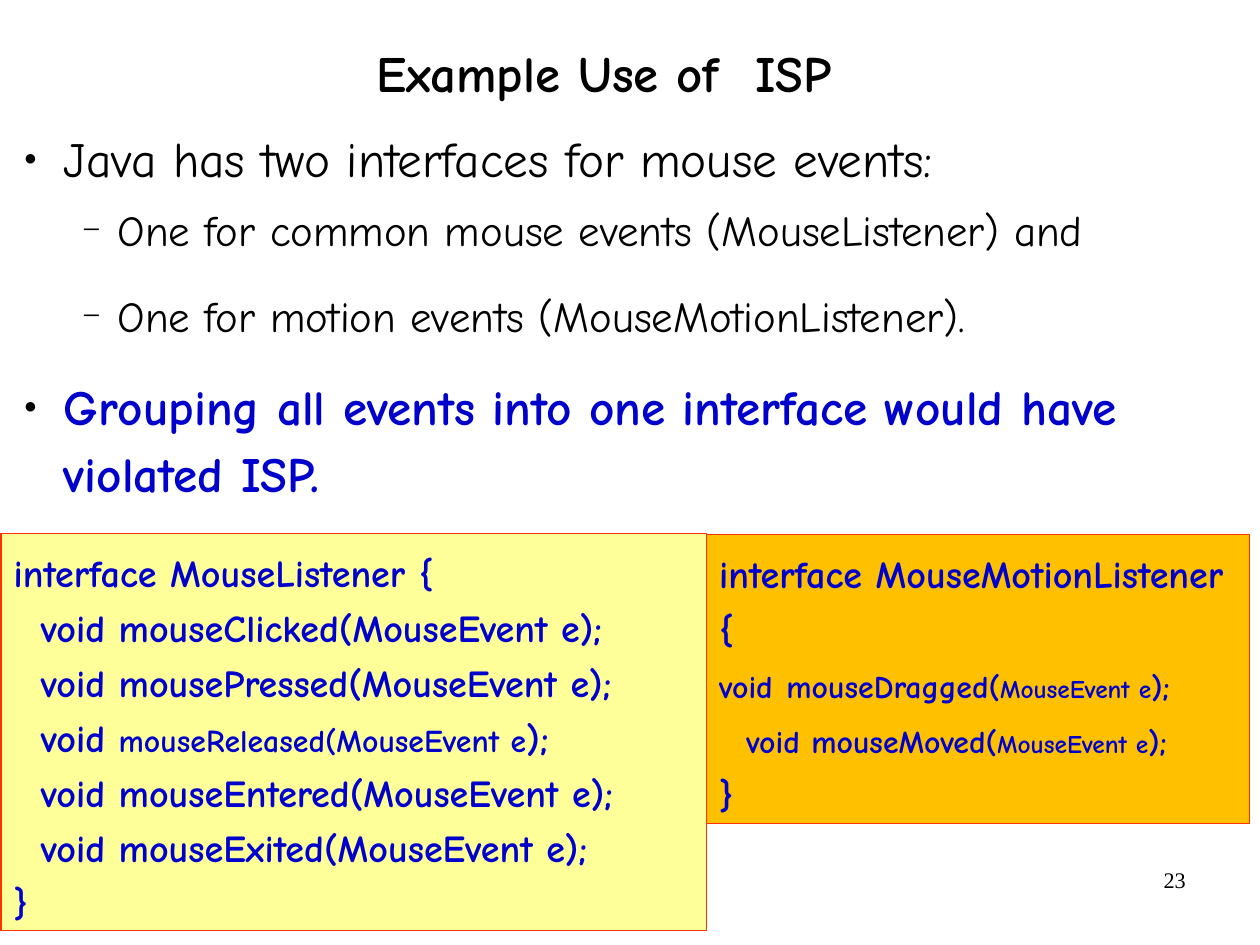
from lxml import etree
from pptx import Presentation
from pptx.dml.color import RGBColor
from pptx.enum.shapes import MSO_SHAPE
from pptx.enum.text import MSO_ANCHOR, PP_ALIGN
from pptx.oxml.ns import qn
from pptx.util import Emu, Inches, Pt

RECTANGLE = MSO_SHAPE.RECTANGLE
TOP, MIDDLE = MSO_ANCHOR.TOP, MSO_ANCHOR.MIDDLE
LEFT, CENTER, RIGHT = PP_ALIGN.LEFT, PP_ALIGN.CENTER, PP_ALIGN.RIGHT

COLORS = {"ink": "000000", "code": "0000CC", "border": "FF3300",
          "listener": "FFFF99", "motion": "FFC000"}
HAND, SERIF = "Comic Neue", "Times New Roman"
WIDTH, HEIGHT = Emu(10080625), Emu(7559675)
COLUMN, ROW = WIDTH / 100, HEIGHT / 100

POINTS = [
    (0, "Java has two interfaces for mouse events:", {"size": 31}, 0),
    (1, "One for common mouse events (MouseListener) and", {"size": 27}, 10.9),
    (1, "One for motion events (MouseMotionListener).", {"size": 27}, 10.9),
    (0, "Grouping all events into one interface would have violated ISP.",
     {"size": 31, "color": "code", "bold": True}, 13.8),
]
BULLETS = [("●", 45, 0.46, -0.35), ("−", 75, 0.93, -0.31)]

LISTENER_CODE = [
    [("interface MouseListener {", 24)],
    [("  void mouseClicked(MouseEvent e);", 24)],
    [("  void mousePressed(MouseEvent e);", 24)],
    [("  void ", 24), ("mouseReleased(MouseEvent e", 20), (");", 24)],
    [("  void mouseEntered(MouseEvent e);", 24)],
    [("  void mouseExited(MouseEvent e);", 24)],
    [("}", 24)],
]
MOTION_CODE = [
    [("interface MouseMotionListener {", 24)],
    [("void", 20), (" ", 24), ("mouseDragged(", 20), ("MouseEvent e", 16), (");", 20)],
    [("  ", 24), ("void mouseMoved(", 20), ("MouseEvent e", 16), (");", 20)],
    [("}", 24)],
]


def place(box):
    """Turn a box in grid columns and rows into slide lengths."""
    left, top, width, height = box
    return [round(n) for n in (left * COLUMN, top * ROW, width * COLUMN, height * ROW)]


def write(paragraph, text, size=24, font=HAND, color="ink", bold=False):
    """Add a formatted run to a paragraph."""
    run = paragraph.add_run()
    run.text = text
    run.font.size = Pt(size)
    run.font.name = font
    run.font.bold = bold
    run.font.color.rgb = RGBColor.from_string(COLORS[color])


def prepare(shape, across=0, down=0, anchor=TOP):
    """Set wrapping, margins and anchor, and return the text frame."""
    frame = shape.text_frame
    frame.word_wrap = True
    frame.margin_left = frame.margin_right = Inches(across)
    frame.margin_top = frame.margin_bottom = Inches(down)
    frame.vertical_anchor = anchor
    return frame


def add_line(slide, box, text, align, across=0, down=0, anchor=TOP, spacing=1, **style):
    """Place a single line of text in a box."""
    frame = prepare(slide.shapes.add_textbox(*place(box)), across, down, anchor)
    line = frame.paragraphs[0]
    line.alignment = align
    line.line_spacing = spacing
    write(line, text, **style)


def add_bullet(paragraph, level):
    """Give a paragraph the indent and bullet of its level."""
    sign, percent, margin, indent = BULLETS[level]
    paragraph.level = level
    properties = paragraph._p.get_or_add_pPr()
    properties.set("marL", str(Inches(margin)))
    properties.set("indent", str(Inches(indent)))
    tint = etree.SubElement(properties, qn("a:buClr"))
    etree.SubElement(tint, qn("a:srgbClr"), val=COLORS["ink"])
    etree.SubElement(properties, qn("a:buSzPct"), val=str(percent * 1000))
    etree.SubElement(properties, qn("a:buFont"), typeface=SERIF)
    etree.SubElement(properties, qn("a:buChar"), char=sign)


def add_points(slide, box):
    """Place the bulleted points in a box."""
    frame = prepare(slide.shapes.add_textbox(*place(box)))
    for index, (level, text, style, after) in enumerate(POINTS):
        point = frame.add_paragraph() if index else frame.paragraphs[0]
        add_bullet(point, level)
        point.line_spacing = 1.14
        point.space_before = Pt(6 if index else 0)
        point.space_after = Pt(after)
        write(point, text, **style)


def add_code(slide, box, lines, fill):
    """Place a bordered panel of code in a box."""
    panel = slide.shapes.add_shape(RECTANGLE, *place(box))
    panel.shadow.inherit = False
    panel.fill.solid()
    panel.fill.fore_color.rgb = RGBColor.from_string(COLORS[fill])
    panel.line.color.rgb = RGBColor.from_string(COLORS["border"])
    panel.line.width = Pt(0.75)
    code = prepare(panel, 0.11, 0.06).paragraphs[0]
    code.alignment = LEFT
    code.line_spacing = 1.2
    for index, pieces in enumerate(lines):
        if index:
            code.add_line_break()
        for text, size in pieces:
            write(code, text, size=size, color="code", bold=True)


def main():
    """Build the slide and save it."""
    deck = Presentation()
    deck.slide_width, deck.slide_height = WIDTH, HEIGHT
    slide = deck.slides.add_slide(deck.slide_layouts[6])
    add_line(slide, (71.69, 91.05, 23.32, 6.89), "23", RIGHT,
             across=0.1, down=0.05, size=14, font=SERIF)
    add_line(slide, (5.44, 3.75, 85.03, 8.59), "Example Use of  ISP", CENTER,
             anchor=MIDDLE, spacing=0.88, size=32, bold=True)
    add_points(slide, (0.91, 12.7, 97.55, 46.92))
    add_code(slide, (0.09, 56.47, 55.99, 41.96), LISTENER_CODE, "listener")
    add_code(slide, (56.08, 56.59, 43.1, 30.59), MOTION_CODE, "motion")
    deck.save("out.pptx")


if __name__ == "__main__":
    main()
